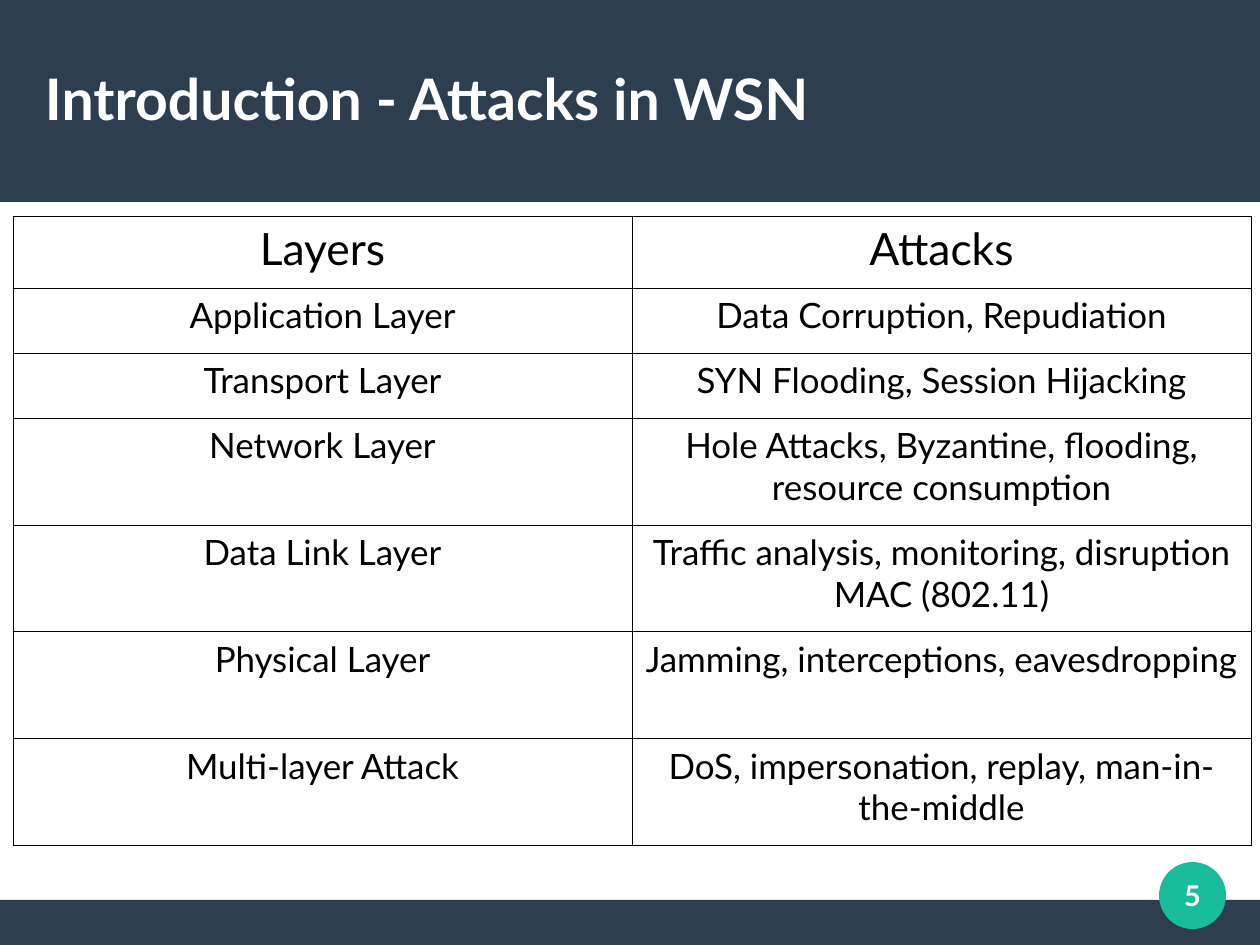
import pptx
import pptx.util
import pptx.dml.color
import pptx.enum.shapes
import pptx.enum.text
import pptx.oxml
import pptx.oxml.ns
from dataclasses import dataclass

PX = 8000
SHAPES = pptx.enum.shapes.MSO_SHAPE
ALIGN = pptx.enum.text.PP_ALIGN
MIDDLE = pptx.enum.text.MSO_ANCHOR.MIDDLE


@dataclass(frozen=True)
class Theme:
    """Colours, font and type sizes of the slide."""
    font: str = "Lato"
    navy: str = "2C3E50"
    teal: str = "1ABC9C"
    white: str = "FFFFFF"
    black: str = "000000"
    title_size: int = 36
    heading_size: int = 28
    body_size: int = 22
    number_size: int = 18
    border_width: float = 0.57


THEME = Theme()
ATTACKS_BY_LAYER = [
    ("Layers", "Attacks"),
    ("Application Layer", "Data Corruption, Repudiation"),
    ("Transport Layer", "SYN Flooding, Session Hijacking"),
    ("Network Layer", "Hole Attacks, Byzantine, flooding, resource consumption"),
    ("Data Link Layer", "Traffic analysis, monitoring, disruption MAC (802.11)"),
    ("Physical Layer", "Jamming, interceptions, eavesdropping"),
    ("Multi-layer Attack", "DoS, impersonation, replay, man-in-the-middle"),
]
HEADING_ROW, SHORT_ROW, TALL_ROW = 72, 65, 107
ROW_HEIGHTS = [HEADING_ROW] + [SHORT_ROW] * 2 + [TALL_ROW] * 4


def emu(*lengths):
    """Turn px lengths into EMU."""
    return [pptx.util.Emu(length * PX) for length in lengths]


def rgb(code):
    """Return the colour for a hex code."""
    return pptx.dml.color.RGBColor.from_string(code)


def write(text_frame, text, size, color, align, bold=False):
    """Put one formatted paragraph into a text frame."""
    text_frame.word_wrap = True
    paragraph = text_frame.paragraphs[0]
    paragraph.text = text
    paragraph.alignment = align
    paragraph.font.name = THEME.font
    paragraph.font.size = pptx.util.Pt(size)
    paragraph.font.bold = bold
    paragraph.font.color.rgb = rgb(color)


def center_without_insets(text_frame):
    """Anchor text in the middle with no margins."""
    text_frame.vertical_anchor = MIDDLE
    text_frame.margin_left = text_frame.margin_right = 0
    text_frame.margin_top = text_frame.margin_bottom = 0


def add_filled(slide, kind, box, color):
    """Add a plain filled shape without outline or shadow."""
    shape = slide.shapes.add_shape(kind, *emu(*box))
    shape.shadow.inherit = False
    shape.fill.solid()
    shape.fill.fore_color.rgb = rgb(color)
    shape.line.fill.background()
    return shape


def add_header(slide, box, text):
    """Draw the header band and set the title inside it."""
    left, top, width, height = box
    band = add_filled(slide, SHAPES.RECTANGLE, box, THEME.navy)
    title = slide.shapes.title
    title.element.addprevious(band.element)
    title.left, title.top, title.width, title.height = emu(
        left + 45, top + 38, width - 90, 120)
    write(title.text_frame, text, THEME.title_size, THEME.white, ALIGN.LEFT, True)
    title.text_frame.auto_size = pptx.enum.text.MSO_AUTO_SIZE.NONE
    center_without_insets(title.text_frame)


def add_footer(slide, box, number):
    """Draw the footer band with the slide number badge above its edge."""
    left, top, width, height = box
    add_filled(slide, SHAPES.RECTANGLE, box, THEME.navy)
    diameter = 67
    badge_box = (left + width - 34 - diameter, top - 38, diameter, diameter)
    badge = add_filled(slide, SHAPES.OVAL, badge_box, THEME.teal)
    write(badge.text_frame, number, THEME.number_size, THEME.white, ALIGN.CENTER, True)
    center_without_insets(badge.text_frame)


def add_borders(cell):
    """Give all four sides of a cell a thin line."""
    properties = cell._tc.get_or_add_tcPr()
    width = int(pptx.util.Pt(1) * THEME.border_width)
    for side in "LRTB":
        properties.append(pptx.oxml.parse_xml(
            f'<a:ln{side} {pptx.oxml.ns.nsdecls("a")} w="{width}"><a:solidFill>'
            f'<a:srgbClr val="{THEME.black}"/></a:solidFill></a:ln{side}>'))


def add_attack_table(slide, box, rows):
    """Fill the box with the table of layers and their attacks."""
    table = slide.shapes.add_table(len(rows), len(rows[0]), *emu(*box)).table
    table.first_row = table.horz_banding = False
    for column in table.columns:
        column.width = emu(box[2] // len(rows[0]))[0]
    for row_index, texts in enumerate(rows):
        table.rows[row_index].height = emu(ROW_HEIGHTS[row_index])[0]
        size = THEME.body_size if row_index else THEME.heading_size
        for column_index, text in enumerate(texts):
            cell = table.cell(row_index, column_index)
            add_borders(cell)
            cell.fill.background()
            write(cell.text_frame, text, size, THEME.black, ALIGN.CENTER)


def main():
    """Build and save the slide."""
    presentation = pptx.Presentation()
    presentation.slide_width, presentation.slide_height = emu(1260, 945)
    slide = presentation.slides.add_slide(presentation.slide_layouts[5])
    add_header(slide, (0, 0, 1260, 202), "Introduction - Attacks in WSN")
    add_attack_table(slide, (13, 216, 1238, sum(ROW_HEIGHTS)), ATTACKS_BY_LAYER)
    add_footer(slide, (0, 900, 1260, 45), "5")
    presentation.save("out.pptx")


if __name__ == "__main__":
    main()
